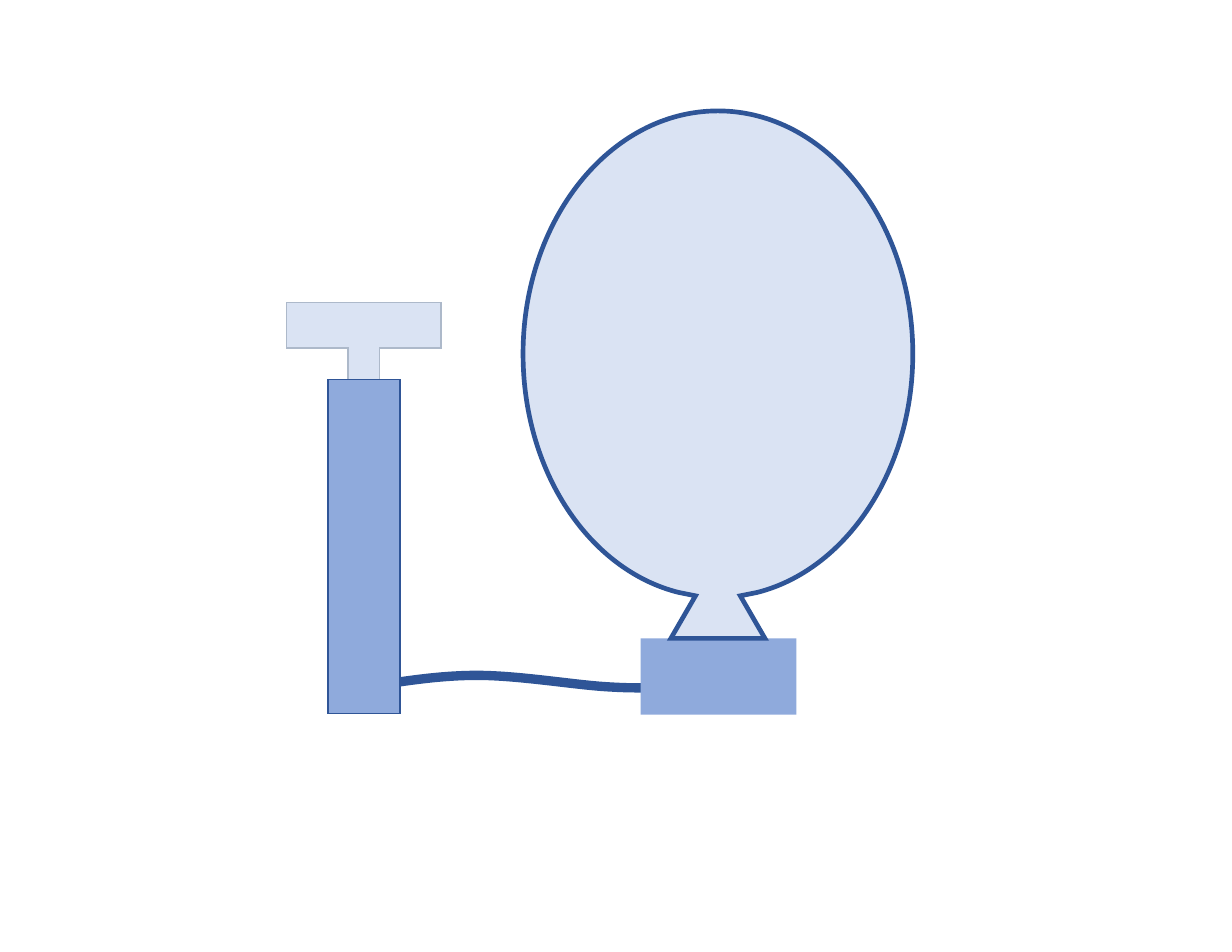
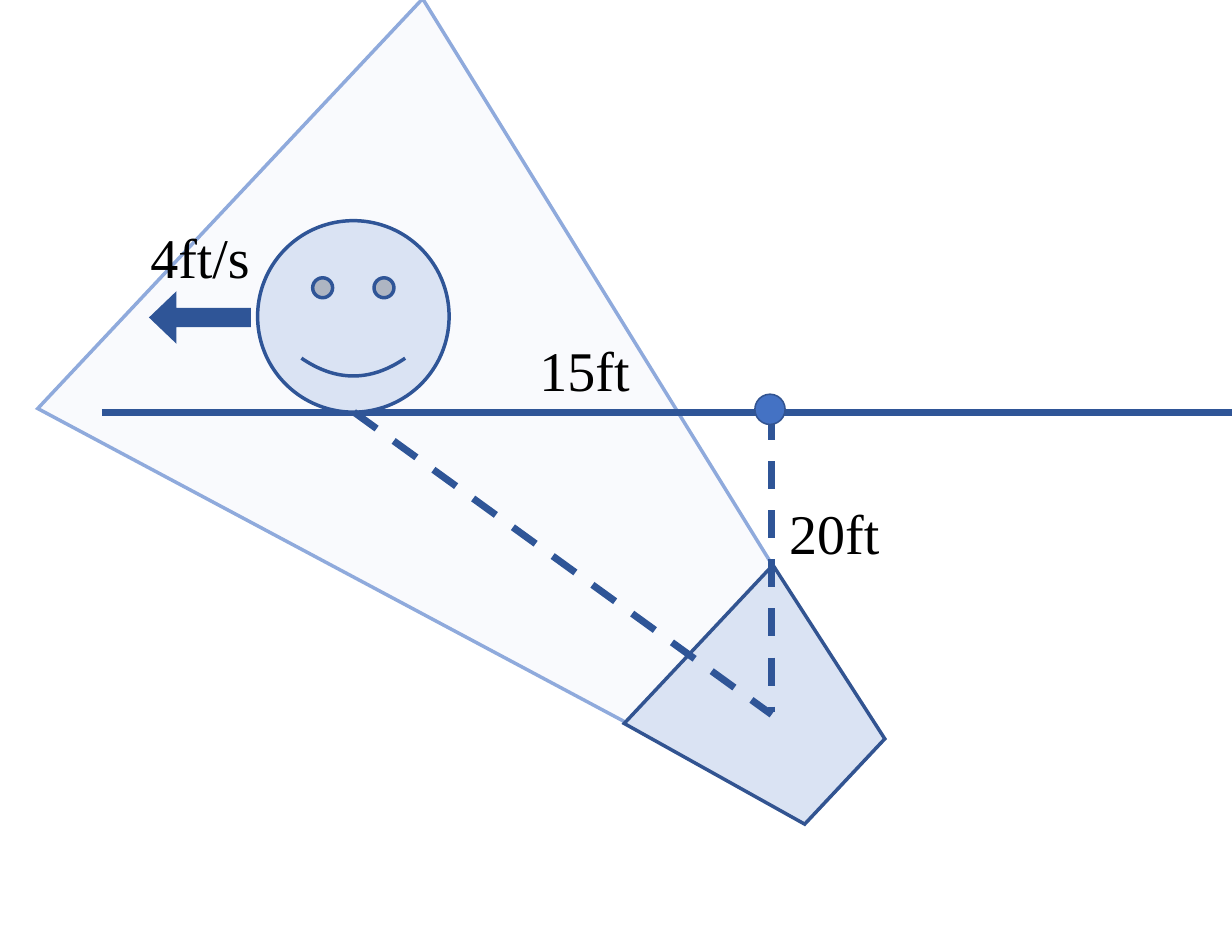
"""Two related-rates diagrams: a balloon on a pump, and a spotlight on a walker."""
import lxml.etree
import pptx
import pptx.dml.color
import pptx.enum.dml
import pptx.enum.shapes
import pptx.enum.text
import pptx.oxml.ns
import pptx.util

Inches = pptx.util.Inches
SHAPE = pptx.enum.shapes.MSO_SHAPE
ALIGN = pptx.enum.text.PP_ALIGN
qn = pptx.oxml.ns.qn

THEME = {
    "dark": "2F5597", "edge": "325491", "mid": "8FAADC", "pale": "DAE3F3",
    "beam": "F9FAFD", "dot": "4472C4", "grey": "ADB9CA", "text": "000000",
    "font": "Times New Roman", "label_size": 36,
    "thin": 1, "outline": 2.25, "balloon": 3, "rope": 4.5, "hose": 6,
}

# Balloon and pump: outlines are a start point, then points (lines)
# or triples of points (curves).
HOSE = [
    (3.23, 6.14),
    ((3.56, 6.09), (3.9, 6.03), (4.26, 6.03)),
    ((4.62, 6.03), (5.1, 6.11), (5.39, 6.13)),
    ((5.68, 6.15), (5.84, 6.14), (6, 6.13)),
]
HANDLE = [(2.56, 2.7), (3.94, 2.7), (3.94, 3.11), (3.39, 3.11),
          (3.39, 3.97), (3.11, 3.97), (3.11, 3.11), (2.56, 3.11)]
BALLOON = [
    (6.41, 0.99),
    ((7.37, 0.99), (8.15, 1.96), (8.15, 3.16)),
    ((8.15, 4.21), (7.55, 5.09), (6.76, 5.29)),
    (6.61, 5.32), (6.83, 5.7), (5.99, 5.7), (6.21, 5.32), (6.06, 5.29),
    ((5.26, 5.09), (4.67, 4.21), (4.67, 3.16)),
    ((4.67, 1.96), (5.45, 0.99), (6.41, 0.99)),
]
CYLINDER = (2.93, 3.39, 0.64, 2.98)
BASE = (5.72, 5.7, 1.39, 0.68)

# Spotlight and walker
LAMP_TURN = 133.2
BEAM = (2.29, 0.63, 5.02, 7.53)
LAMP = (5.92, 5.47, 1.94, 1.79)
WALKER = (2.3, 1.97, 1.71, 1.71)
NEAREST_POINT = (6.74, 3.52, 0.27, 0.27)
WALK_ARROW = (1.33, 2.6, 0.91, 0.47)
PATH_Y, LAMP_X = 3.68, 6.89
LABEL_BOX = (2, 0.71)


def rgb(name):
    """Return the theme colour called name."""
    return pptx.dml.color.RGBColor.from_string(THEME[name])


def paint(shape, fill=None, line=None, width="thin"):
    """Set the fill and sharp-cornered outline of a shape, None meaning no paint."""
    shape.shadow.inherit = False
    if fill:
        shape.fill.solid()
        shape.fill.fore_color.rgb = rgb(fill)
    else:
        shape.fill.background()
    if line:
        shape.line.color.rgb = rgb(line)
        shape.line.width = pptx.util.Pt(THEME[width])
        stroke = shape._element.spPr.find(qn("a:ln"))
        lxml.etree.SubElement(stroke, qn("a:miter"), lim="800000")
    else:
        shape.line.fill.background()


def add_preset(slide, kind, box, turn=0, adjust=(), **look):
    """Add a preset shape in box, turned by degrees."""
    shape = slide.shapes.add_shape(kind, *map(Inches, box))
    shape.rotation = turn
    for index, value in enumerate(adjust):
        shape.adjustments[index] = value
    paint(shape, **look)


def add_outline(slide, outline, close=True, **look):
    """Add a freeform of lines and cubic curves."""
    start, *parts = outline
    parts = [part if isinstance(part[0], tuple) else (part,) for part in parts]
    builder = slide.shapes.build_freeform(*map(Inches, start))
    builder.add_line_segments(
        [(Inches(x), Inches(y)) for part in parts for x, y in part], close=close)
    shape = builder.convert_to_shape()
    segments = iter(list(shape._element.spPr.iter(qn("a:lnTo"))))
    for part in parts:
        first, *others = [next(segments) for _ in part]
        if others:
            curve = first.makeelement(qn("a:cubicBezTo"))
            first.addprevious(curve)
            for segment in (first, *others):
                curve.append(segment[0])
                segment.getparent().remove(segment)
    paint(shape, **look)


def add_rope(slide, start, end, dashed=False):
    """Add a thick straight line."""
    rope = slide.shapes.add_connector(
        pptx.enum.shapes.MSO_CONNECTOR.STRAIGHT, *map(Inches, start + end))
    rope.line.color.rgb = rgb("dark")
    rope.line.width = pptx.util.Pt(THEME["rope"])
    if dashed:
        rope.line.dash_style = pptx.enum.dml.MSO_LINE.DASH
    lxml.etree.SubElement(rope._element.spPr, qn("a:effectLst"))


def add_label(slide, text, left, top, align=ALIGN.CENTER):
    """Add a measurement label."""
    label = slide.shapes.add_textbox(*map(Inches, (left, top) + LABEL_BOX))
    frame = label.text_frame
    frame.word_wrap = True
    frame.auto_size = pptx.enum.text.MSO_AUTO_SIZE.SHAPE_TO_FIT_TEXT
    paragraph = frame.paragraphs[0]
    paragraph.alignment = align
    run = paragraph.add_run()
    run.text = text
    run.font.name = THEME["font"]
    run.font.size = pptx.util.Pt(THEME["label_size"])
    run.font.color.rgb = rgb("text")


def draw_balloon(slide):
    """Draw the pump, its hose and the balloon."""
    add_outline(slide, HOSE, close=False, line="dark", width="hose")
    add_outline(slide, HANDLE, fill="pale", line="grey")
    add_preset(slide, SHAPE.RECTANGLE, CYLINDER, fill="mid", line="dark")
    add_preset(slide, SHAPE.RECTANGLE, BASE, fill="mid")
    add_outline(slide, BALLOON, fill="pale", line="dark", width="balloon")


def draw_spotlight(slide):
    """Draw the lamp, its beam, the walker and the distances."""
    add_preset(slide, SHAPE.TRAPEZOID, BEAM, LAMP_TURN, (0.405,),
               fill="beam", line="mid", width="outline")
    add_rope(slide, (0.91, PATH_Y), (11, PATH_Y))
    add_preset(slide, SHAPE.SMILEY_FACE, WALKER,
               fill="pale", line="dark", width="outline")
    add_preset(slide, SHAPE.TRAPEZOID, LAMP, LAMP_TURN,
               fill="pale", line="edge", width="outline")
    add_rope(slide, (LAMP_X, PATH_Y), (LAMP_X, 6.36), dashed=True)
    add_label(slide, "20ft", 6.45, 4.4)
    add_rope(slide, (3.16, PATH_Y), (LAMP_X, 6.38), dashed=True)
    add_label(slide, "15ft", 4.22, 2.95)
    add_preset(slide, SHAPE.OVAL, NEAREST_POINT, fill="dot", line="edge")
    add_preset(slide, SHAPE.LEFT_ARROW, WALK_ARROW, adjust=(0.364, 0.523), fill="dark")
    add_label(slide, "4ft/s", 0.33, 1.94, align=ALIGN.RIGHT)


def main():
    """Build and save the deck."""
    deck = pptx.Presentation()
    deck.slide_width, deck.slide_height = Inches(11), Inches(8.5)
    blank = deck.slide_layouts[6]
    for draw in (draw_balloon, draw_spotlight):
        draw(deck.slides.add_slide(blank))
    deck.save("out.pptx")


main()
